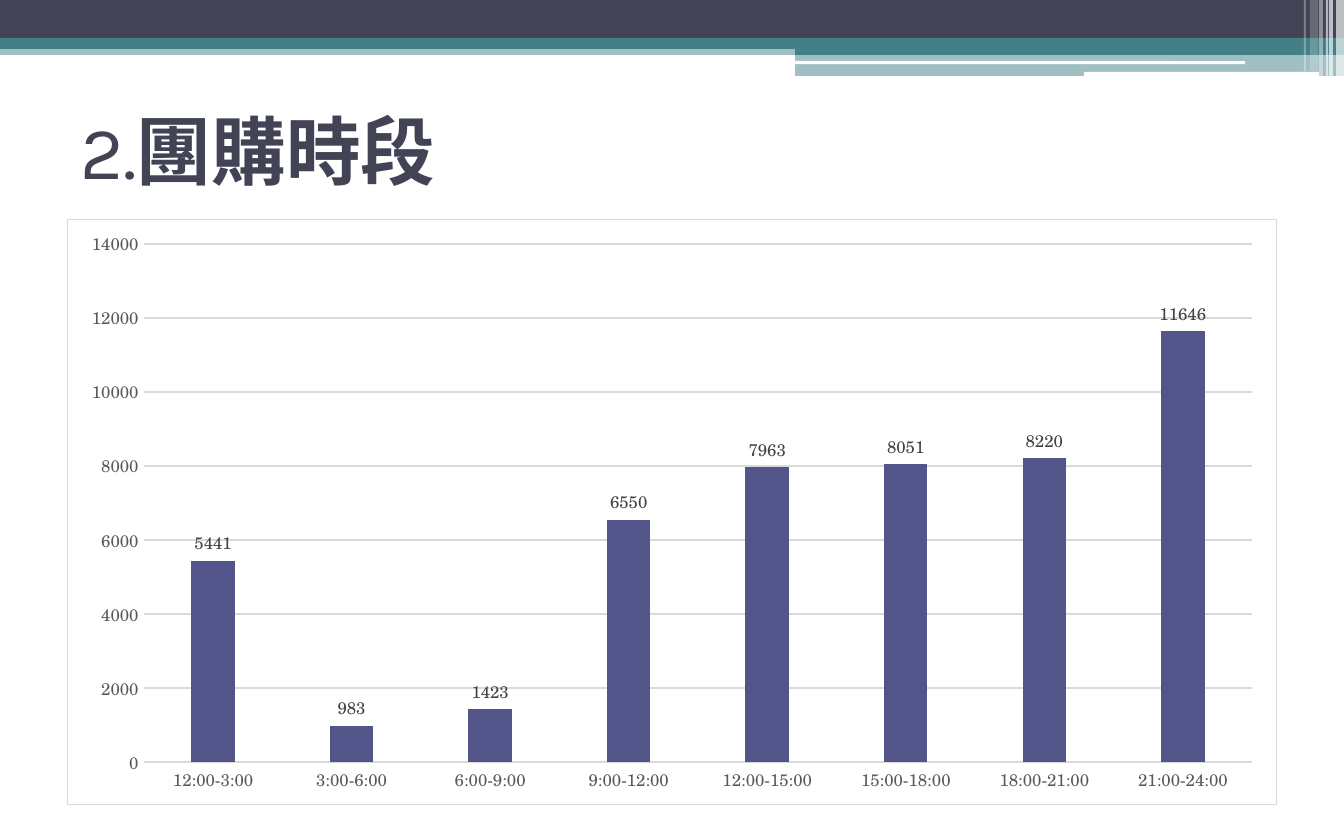
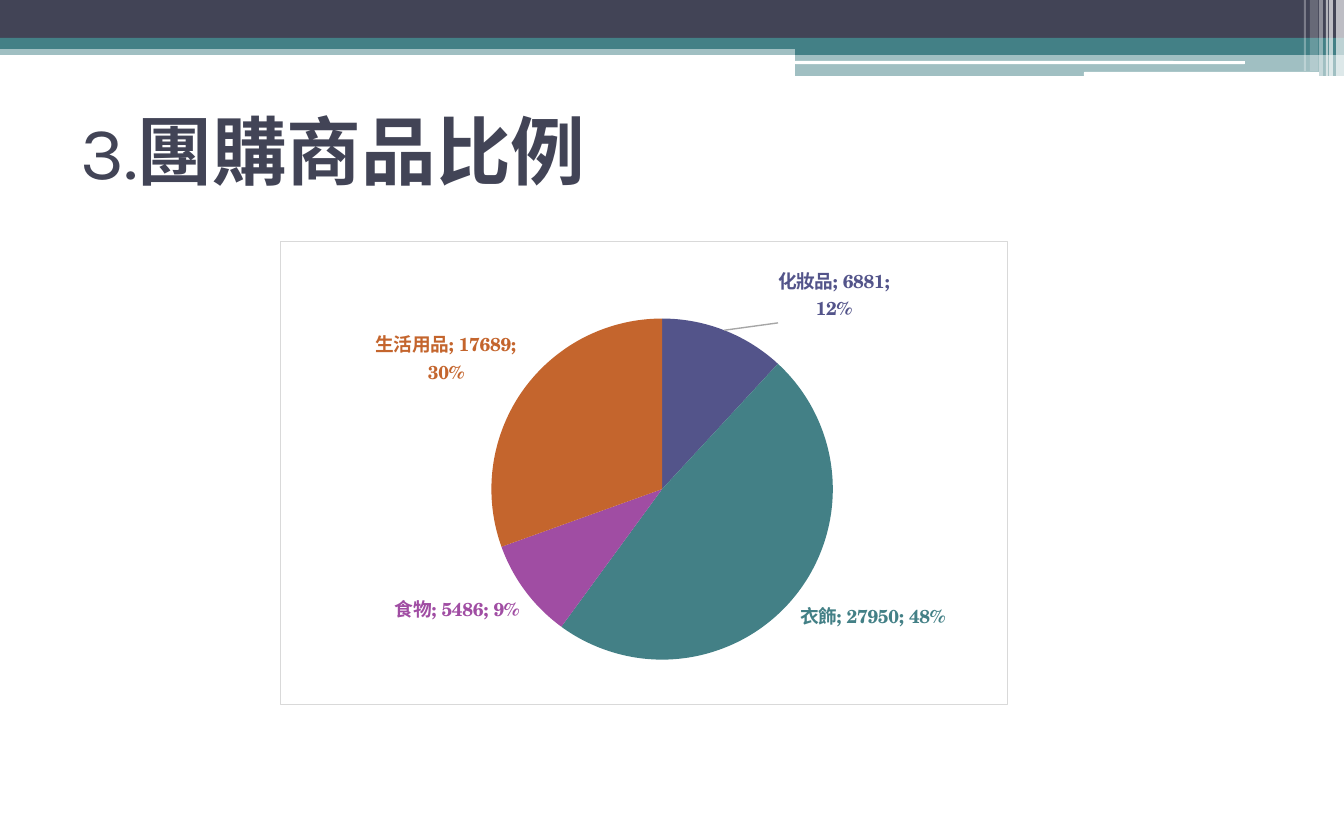
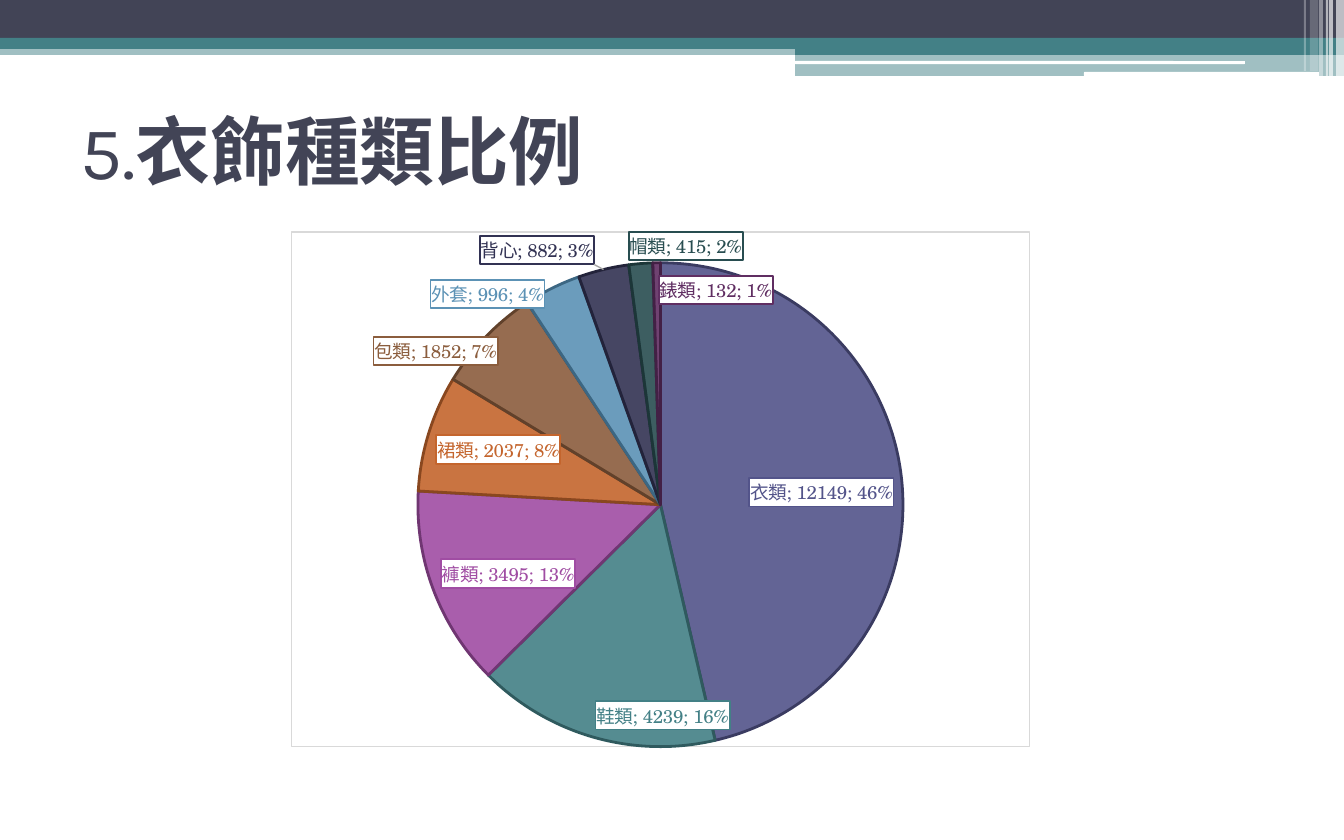
from dataclasses import dataclass

from lxml import etree
from pptx import Presentation
from pptx.chart.data import CategoryChartData
from pptx.dml.color import RGBColor
from pptx.enum.chart import XL_CHART_TYPE, XL_LABEL_POSITION, XL_TICK_MARK
from pptx.enum.shapes import MSO_SHAPE
from pptx.enum.text import MSO_ANCHOR, PP_ALIGN
from pptx.oxml import parse_xml
from pptx.oxml.ns import nsdecls, qn
from pptx.util import Emu, Pt

COLUMN = XL_CHART_TYPE.COLUMN_CLUSTERED
PIE = XL_CHART_TYPE.PIE
OUTSIDE_END = XL_LABEL_POSITION.OUTSIDE_END
INSIDE_END = XL_LABEL_POSITION.INSIDE_END
NO_TICK = XL_TICK_MARK.NONE
RECT = MSO_SHAPE.RECTANGLE
ROUNDED = MSO_SHAPE.ROUNDED_RECTANGLE
MIDDLE = MSO_ANCHOR.MIDDLE
LEFT = PP_ALIGN.LEFT

EMU_PER_PX = 914400 / 134.4
TITLE_ONLY = 5


@dataclass(frozen=True)
class Theme:
    navy: str = "424456"
    teal: str = "438086"
    white: str = "FFFFFF"
    black: str = "000000"
    grid: str = "D9D9D9"
    leader: str = "A6A6A6"
    axis_text: str = "595959"
    value_text: str = "404040"
    accents: tuple = ("53548A", "438086", "A04DA3", "C4652D", "8B5D3D",
                      "5C92B5", "323253", "284D50", "602E62")
    title_font: str = "Karla"
    chart_font: str = "TeX Gyre Schola"
    title_size: int = 40
    label_size: int = 10
    axis_size: int = 9
    hairline: float = 0.75


THEME = Theme()

BANDS = [
    (RECT, (0, 44, 1344, 11), THEME.teal, 50),
    (RECT, (0, 0, 1344, 38), THEME.navy, 100),
    (RECT, (0, 38, 1344, 11), THEME.teal, 100),
    (RECT, (795, 44, 549, 11), THEME.teal, 100),
    (RECT, (795, 55, 549, 21), THEME.teal, 50),
    (ROUNDED, (795, 61, 450, 3), THEME.white, 100),
    (ROUNDED, (1084, 72, 235, 4), THEME.white, 100),
    (RECT, (1336, 0, 8, 76), THEME.white, 65),
    (RECT, (1329, 0, 4, 76), THEME.white, 65),
    (RECT, (1326, 0, 2, 76), THEME.white, 60),
    (RECT, (1319, 0, 4, 76), THEME.white, 40),
    (RECT, (1310, 0, 8, 71), THEME.white, 20),
    (RECT, (1304, 0, 2, 71), THEME.white, 30),
]

ORDERS_BY_PERIOD = {
    "12:00-3:00": 5441, "3:00-6:00": 983, "6:00-9:00": 1423,
    "9:00-12:00": 6550, "12:00-15:00": 7963, "15:00-18:00": 8051,
    "18:00-21:00": 8220, "21:00-24:00": 11646,
}
ORDERS_BY_PRODUCT = {"化妝品": 6881, "衣飾": 27950, "食物": 5486, "生活用品": 17689}
ORDERS_BY_CLOTHING = {
    "衣類": 12149, "鞋類": 4239, "褲類": 3495, "裙類": 2037, "包類": 1852,
    "外套": 996, "背心": 882, "帽類": 415, "錶類": 132,
}
PRODUCT_LABEL_SHIFTS = {0: (0.07, 0)}
CLOTHING_LABEL_SHIFTS = {
    4: (-0.16, -0.01), 5: (-0.17, -0.03), 6: (-0.17, -0.08),
    7: (0.06, -0.08), 8: (0.08, 0.01),
}


def px(length):
    return Emu(round(length * EMU_PER_PX))


def px_box(box):
    return [px(length) for length in box]


def rgb(color):
    return RGBColor.from_string(color)


def style_font(font, size, color, name, bold=False):
    font.size = Pt(size)
    font.color.rgb = rgb(color)
    font.name = name
    font.bold = bold


def set_opacity(element, percent):
    if percent < 100:
        color = element.find(".//" + qn("a:srgbClr"))
        etree.SubElement(color, qn("a:alpha"), val=str(percent * 1000))


def move_bands_to_layout(slide, layout):
    for index, (kind, box, color, opacity) in enumerate(BANDS):
        band = slide.shapes.add_shape(kind, *px_box(box))
        band.shadow.inherit = False
        band.fill.solid()
        band.fill.fore_color.rgb = rgb(color)
        band.line.fill.background()
        set_opacity(band.element, opacity)
        band.element.nvSpPr.cNvPr.set("id", str(100 + index))
        layout.shapes.element.insert(2 + index, band.element)


def set_title(slide, number, heading):
    title = slide.shapes.title
    title.left, title.top, title.width, title.height = px_box((67, 85, 1210, 130))
    frame = title.text_frame
    frame.vertical_anchor = MIDDLE
    paragraph = frame.paragraphs[0]
    paragraph.alignment = LEFT
    for text, bold in ((f"{number}.", False), (heading, True)):
        run = paragraph.add_run()
        run.text = text
        style_font(run.font, THEME.title_size, THEME.navy, THEME.title_font, bold)


def outline(color, width):
    return (f'<a:ln w="{Pt(width)}"><a:solidFill><a:srgbClr val="{color}"/>'
            '</a:solidFill></a:ln>')


def frame_format(line_color, width):
    return parse_xml(
        f'<c:spPr {nsdecls("c", "a")}>'
        f'<a:solidFill><a:srgbClr val="{THEME.white}"/></a:solidFill>'
        f'{outline(line_color, width)}</c:spPr>')


def manual_layout(**settings):
    layout = etree.Element(qn("c:layout"))
    manual = etree.SubElement(layout, qn("c:manualLayout"))
    for tag, value in settings.items():
        etree.SubElement(manual, qn(f"c:{tag}"), val=str(value))
    return layout


def add_framed_chart(slide, kind, box, orders):
    data = CategoryChartData()
    data.categories = list(orders)
    data.add_series("Series 1", list(orders.values()))
    chart = slide.shapes.add_chart(kind, *px_box(box), data).chart
    chart.has_title = False
    chart.has_legend = False
    style_font(chart.font, THEME.label_size, THEME.black, THEME.chart_font)
    space = chart.element
    space.find(qn("c:txPr")).addprevious(frame_format(THEME.grid, THEME.hairline))
    if space.find(qn("c:roundedCorners")) is None:
        corners = etree.Element(qn("c:roundedCorners"), val="0")
        space.find(qn("c:chart")).addprevious(corners)
    return chart


def style_axis(axis):
    axis.major_tick_mark = NO_TICK
    axis.minor_tick_mark = NO_TICK
    style_font(axis.tick_labels.font, THEME.axis_size, THEME.axis_text, THEME.chart_font)


def style_hairline(line):
    line.color.rgb = rgb(THEME.grid)
    line.width = Pt(THEME.hairline)


def add_column_chart(slide, box, orders):
    chart = add_framed_chart(slide, COLUMN, box, orders)
    periods, counts = chart.category_axis, chart.value_axis
    style_axis(periods)
    style_axis(counts)
    style_hairline(periods.format.line)
    counts.format.line.fill.background()
    counts.has_major_gridlines = True
    style_hairline(counts.major_gridlines.format.line)
    counts.minimum_scale, counts.maximum_scale, counts.major_unit = 0, 14000, 2000
    plot = chart.plots[0]
    plot.vary_by_categories = False
    plot.gap_width, plot.overlap = 219, -27
    series = plot.series[0]
    series.format.fill.solid()
    series.format.fill.fore_color.rgb = rgb(THEME.accents[0])
    labels = series.data_labels
    labels.show_value = True
    labels.position = OUTSIDE_END
    style_font(labels.font, THEME.axis_size, THEME.value_text, THEME.chart_font)


def set_plot_area(chart, x, y, w, h):
    area = chart.element.find(".//" + qn("c:plotArea"))
    for automatic in area.findall(qn("c:layout")):
        area.remove(automatic)
    area.insert(0, manual_layout(layoutTarget="inner", xMode="edge", yMode="edge",
                                 x=x, y=y, w=w, h=h))


def style_leader_lines(chart):
    group = chart.element.find(".//" + qn("c:ser")).find(qn("c:dLbls"))
    switch = group.find(qn("c:showLeaderLines"))
    if switch is None:
        switch = etree.SubElement(group, qn("c:showLeaderLines"))
    switch.set("val", "1")
    switch.addnext(parse_xml(
        f'<c:leaderLines {nsdecls("c", "a")}><c:spPr>'
        f'{outline(THEME.leader, THEME.hairline)}</c:spPr></c:leaderLines>'))


def complete_pie_label(label, color, shift, boxed):
    for tag in ("showVal", "showCatName", "showPercent"):
        label.find(qn(f"c:{tag}")).set("val", "1")
    etree.SubElement(label, qn("c:separator")).text = "; "
    if boxed:
        label.find(qn("c:txPr")).addprevious(frame_format(color, 1))
    if shift:
        label.find(qn("c:idx")).addnext(manual_layout(x=shift[0], y=shift[1]))


def add_pie_chart(slide, box, orders, plot_area, position, shifts, boxed):
    chart = add_framed_chart(slide, PIE, box, orders)
    set_plot_area(chart, *plot_area)
    plot = chart.plots[0]
    plot.vary_by_categories = True
    series = plot.series[0]
    labels = series.data_labels
    labels.show_value = labels.show_category_name = labels.show_percentage = True
    labels.position = position
    colors = THEME.accents[:len(orders)]
    for index, color in enumerate(colors):
        point = series.points[index]
        point.format.fill.solid()
        point.format.fill.fore_color.rgb = rgb(color)
        if boxed:
            point.format.line.color.rgb = rgb(color)
            point.format.line.color.brightness = -0.3
            point.format.line.width = Pt(1.5)
            set_opacity(point.format.element, 90)
        else:
            point.format.line.fill.background()
        style_font(point.data_label.font, THEME.label_size, color,
                   THEME.chart_font, bold=not boxed)
        point.data_label.position = position
    point_labels = chart.element.iter(qn("c:dLbl"))
    for index, (label, color) in enumerate(zip(point_labels, colors)):
        complete_pie_label(label, color, shifts.get(index), boxed)
    style_leader_lines(chart)


def main():
    deck = Presentation()
    deck.slide_width, deck.slide_height = px(1344), px(840)
    layout = deck.slide_layouts[TITLE_ONLY]
    periods, products, clothing = [deck.slides.add_slide(layout) for _ in range(3)]
    move_bands_to_layout(periods, layout)

    set_title(periods, 2, "團購時段")
    add_column_chart(periods, (67, 219, 1210, 586), ORDERS_BY_PERIOD)

    set_title(products, 3, "團購商品比例")
    add_pie_chart(products, (280, 241, 728, 464), ORDERS_BY_PRODUCT,
                  (0.29, 0.16, 0.47, 0.75), OUTSIDE_END, PRODUCT_LABEL_SHIFTS, False)

    set_title(clothing, 5, "衣飾種類比例")
    add_pie_chart(clothing, (291, 231, 739, 517), ORDERS_BY_CLOTHING,
                  (0, 0.06, 1, 0.94), INSIDE_END, CLOTHING_LABEL_SHIFTS, True)

    deck.save("out.pptx")


if __name__ == "__main__":
    main()
